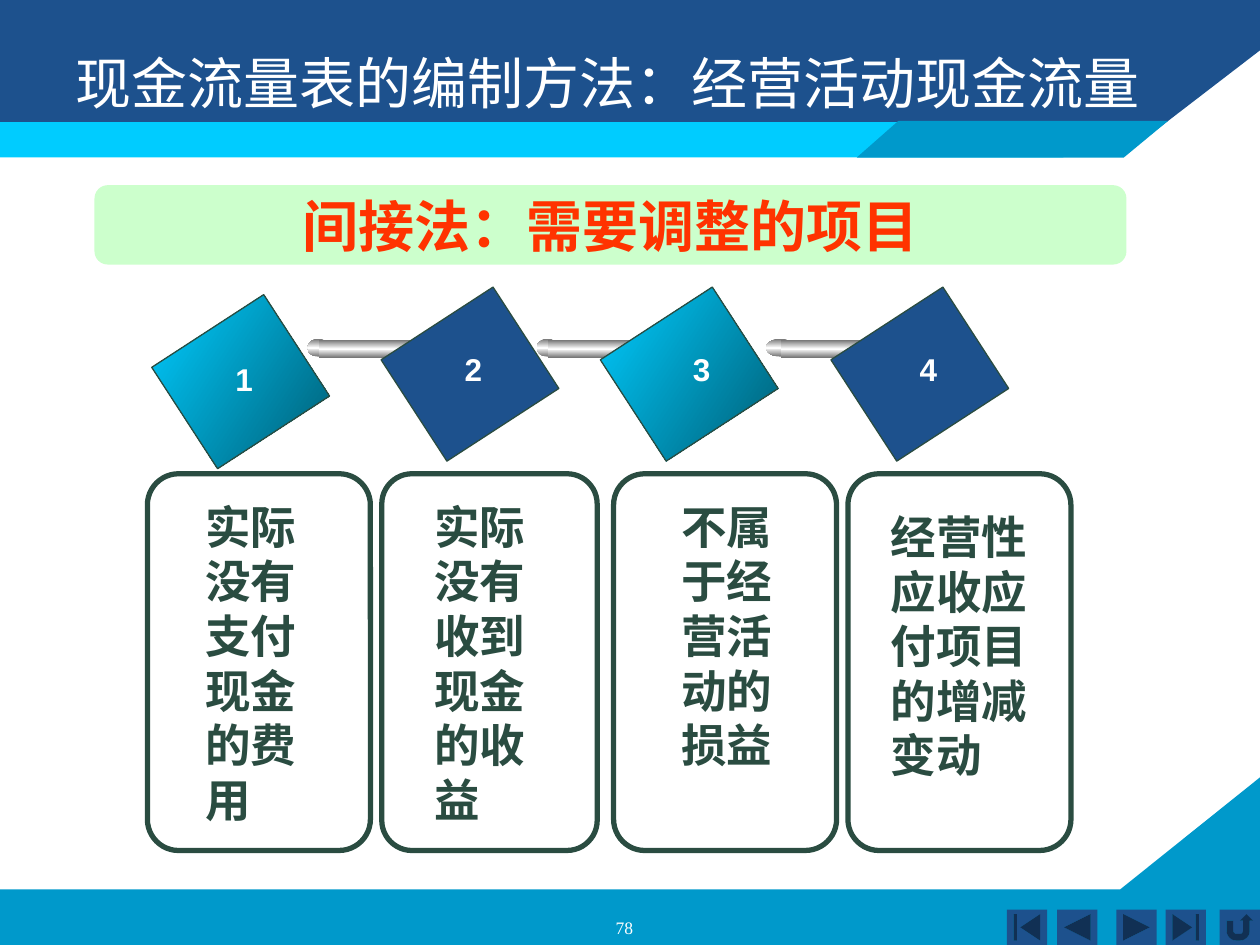
from lxml.etree import SubElement
from pptx import Presentation
from pptx.dml.color import RGBColor
from pptx.enum.shapes import MSO_SHAPE
from pptx.enum.text import MSO_ANCHOR, PP_ALIGN
from pptx.oxml.ns import qn
from pptx.util import Inches, Pt

NAVY, BLUE, CYAN, GREEN, WHITE = "1D518D", "0099CB", "00CCFF", "2A4C41", "FFFFFF"
TEAL_GRADIENT = (33, [(0, CYAN), (100, "005E75")])
SILVER_GRADIENT = (90, [(0, "757575"), (50, WHITE), (100, "757575")])
CHINESE_FONT = "Noto Sans CJK SC"


def paint(shape, fill=None, line=None, width=1):
    shape.shadow.inherit = False
    if fill is None:
        shape.fill.background()
    elif isinstance(fill, str):
        shape.fill.solid()
        shape.fill.fore_color.rgb = RGBColor.from_string(fill)
    else:
        angle, stops = fill
        shape.fill.gradient()
        shape.fill.gradient_angle = 360 - angle
        gradient = shape.element.spPr.find(qn("a:gradFill"))
        gradient.set("rotWithShape", "0")
        stop_list = gradient.find(qn("a:gsLst"))
        for old_stop in list(stop_list):
            stop_list.remove(old_stop)
        for position, value in stops:
            stop = SubElement(stop_list, qn("a:gs"), pos=str(position * 1000))
            SubElement(stop, qn("a:srgbClr"), val=value)
    if line:
        shape.line.color.rgb = RGBColor.from_string(line)
        shape.line.width = Pt(width)
    else:
        shape.line.fill.background()


def write(shape, text, size, color, name="Arial", bold=False, spacing=None,
          align=PP_ALIGN.LEFT, anchor=MSO_ANCHOR.TOP, wrap=True):
    frame = shape.text_frame
    frame.word_wrap = wrap
    frame.vertical_anchor = anchor
    paragraph = frame.paragraphs[0]
    paragraph.alignment = align
    paragraph.line_spacing = spacing
    run = paragraph.add_run()
    run.text = text
    for key, value in {"size": Pt(size), "name": name, "bold": bold}.items():
        setattr(run.font, key, value)
    run.font.color.rgb = RGBColor.from_string(color)
    SubElement(run.font._element, qn("a:ea"), typeface=CHINESE_FONT)


presentation = Presentation()
presentation.slide_width = Inches(10)
presentation.slide_height = Inches(7.5)
slide = presentation.slides.add_slide(presentation.slide_layouts[5])
shapes = slide.shapes

footer = [(0, 7.06), (8.89, 7.06), (10, 6.17), (10, 7.5), (0, 7.5)]
header = [(0, 0), (10, 0), (10, 0.4), (8.92, 1.23), (0, 1.24)]
header_accent = [(6.8, 1.25), (8.92, 1.25), (9.27, 0.96), (7.13, 0.96)]
for points, color in [(footer, BLUE), (header, NAVY), (header_accent, BLUE)]:
    corners = [(Inches(x), Inches(y)) for x, y in points]
    builder = shapes.build_freeform(*corners[0])
    builder.add_line_segments(corners[1:], close=True)
    if color == BLUE and points is header_accent:
        stripe = shapes.add_shape(MSO_SHAPE.RECTANGLE, 0, Inches(0.97), Inches(8.44), Inches(0.28))
        paint(stripe, CYAN)
    paint(builder.convert_to_shape(), color)

buttons = [
    (7.99, MSO_SHAPE.ACTION_BUTTON_BEGINNING),
    (8.39, MSO_SHAPE.ACTION_BUTTON_BACK_OR_PREVIOUS),
    (8.86, MSO_SHAPE.ACTION_BUTTON_FORWARD_OR_NEXT),
    (9.25, MSO_SHAPE.ACTION_BUTTON_END),
    (9.68, MSO_SHAPE.ACTION_BUTTON_RETURN),
]
for left, kind in buttons:
    button = shapes.add_shape(kind, Inches(left), Inches(7.22), Inches(0.32), Inches(0.28))
    paint(button, NAVY)

title = shapes.title
shapes.element.append(title.element)
title.left, title.top, title.width, title.height = [Inches(n) for n in (0.5, 0.3, 9, 1.25)]
write(title, "现金流量表的编制方法：经营活动现金流量", 32, WHITE, CHINESE_FONT, spacing=Pt(41))

banner = shapes.add_shape(
    MSO_SHAPE.ROUNDED_RECTANGLE, Inches(0.75), Inches(1.47), Inches(8.19), Inches(0.63))
paint(banner, "CCFFCC")
write(banner, "间接法：需要调整的项目", 32, "FF3300", bold=True,
      align=PP_ALIGN.CENTER, anchor=MSO_ANCHOR.MIDDLE, wrap=False)

panels = [(1.17, 1.77), (3.03, 1.71), (4.87, 1.77), (6.73, 1.77)]
for left, width in panels:
    panel = shapes.add_shape(
        MSO_SHAPE.ROUNDED_RECTANGLE, Inches(left), Inches(3.76), Inches(width), Inches(2.99))
    panel.adjustments[0] = 0.14
    paint(panel, None, GREEN, 3)

diamonds = [(1.43, 2.5), (3.25, 2.44), (4.99, 2.44), (6.82, 2.44)]
rods = [(2.44, 1), (4.26, 1), (6.08, 1.3)]
rod_parts = [
    (MSO_SHAPE.OVAL, 0, 2.69, 0.17, 0.14, None),
    (MSO_SHAPE.RECTANGLE, 0.09, 2.7, 0.82, 0.14, None),
    (MSO_SHAPE.OVAL, 0.83, 2.7, 0.15, 0.13, WHITE),
    (MSO_SHAPE.OVAL, 0.92, 2.74, 0.04, 0.04, None),
]
for index, (left, top) in enumerate(diamonds):
    diamond = shapes.add_shape(
        MSO_SHAPE.RECTANGLE, Inches(left), Inches(top), Inches(0.96), Inches(1.06))
    diamond.rotation = 57
    paint(diamond, NAVY if index % 2 else TEAL_GRADIENT, GREEN, 0.75)
    for start, stretch in rods[index:index + 1]:
        for kind, offset, part_top, width, height, line in rod_parts:
            part = shapes.add_shape(
                kind, Inches(start + offset * stretch), Inches(part_top),
                Inches(width * stretch), Inches(height))
            paint(part, SILVER_GRADIENT, line)

items = [
    (1.77, 2.81, 1.53, 3.91, 1.05, "实际没有支付现金的费用"),
    (3.59, 2.73, 3.35, 3.91, 1.05, "实际没有收到现金的收益"),
    (5.4, 2.73, 5.31, 3.91, 1.05, "不属于经营活动的损益"),
    (7.2, 2.73, 6.97, 3.99, 1.42, "经营性应收应付项目的增减变动"),
]
for number, (number_left, number_top, left, top, width, text) in enumerate(items, 1):
    label = shapes.add_textbox(
        Inches(number_left), Inches(number_top), Inches(0.34), Inches(0.4))
    write(label, str(number), 18, WHITE, bold=True, wrap=False)
    description = shapes.add_textbox(Inches(left), Inches(top), Inches(width), Inches(2.7))
    write(description, text, 26, GREEN, bold=True, spacing=Pt(31.2))

page_number = shapes.add_textbox(Inches(3.79), Inches(7.23), Inches(2.33), Inches(0.18))
write(page_number, "78", 10, WHITE, "Times New Roman", align=PP_ALIGN.CENTER)

presentation.save("out.pptx")
